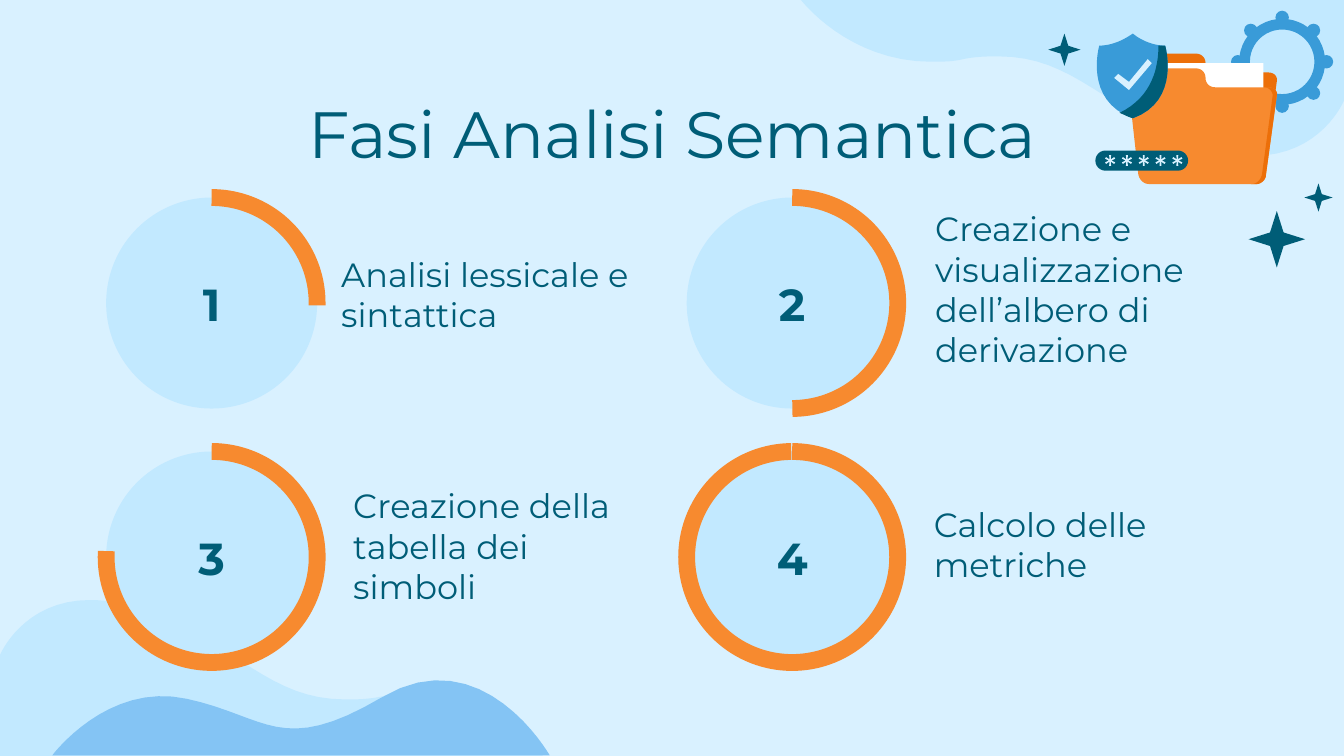
from dataclasses import dataclass
from math import cos, pi, sin

from pptx import Presentation
from pptx.dml.color import RGBColor
from pptx.enum.shapes import MSO_SHAPE
from pptx.enum.text import MSO_ANCHOR, MSO_AUTO_SIZE, PP_ALIGN
from pptx.util import Cm, Length, Pt

OVAL, ARC, RING = MSO_SHAPE.OVAL, MSO_SHAPE.ARC, MSO_SHAPE.DONUT
STAR, PILL, BOX = (MSO_SHAPE.STAR_4_POINT, MSO_SHAPE.ROUNDED_RECTANGLE,
                   MSO_SHAPE.RECTANGLE)
TOP, LOW = MSO_ANCHOR.TOP, MSO_ANCHOR.BOTTOM
LEFT, MID = PP_ALIGN.LEFT, PP_ALIGN.CENTER
FIXED = MSO_AUTO_SIZE.NONE

FONT = "Montserrat"
PALE, SKY, WAVE, BLUE = "D9F1FF", "C2E9FF", "84C4F4", "399BD8"
DARK, ORANGE, RUST, WHITE = "005D77", "F78A2F", "EC6F09", "FFFFFF"
WIDE, HIGH = 10, 5.625
DISC = 1.57  # diameter of a step disc
TURN = 2 * pi


@dataclass
class Step:
    """One numbered phase: disc corner, arc start in degrees, label box."""
    num: int
    left: float
    top: float
    start: float
    label: str
    at: tuple[float, float, float]


@dataclass
class Spark:
    """A four-pointed star by its centre and size."""
    x: float
    y: float
    size: float


LEFTS, TOPS = (0.79, 5.11), (1.47, 3.36)
STEPS = [
    Step(1, LEFTS[0], TOPS[0], 178.75, "Analisi lessicale e sintattica",
         (2.44, 1.98, 2.58)),
    Step(2, LEFTS[1], TOPS[0], 90.1,
         "Creazione e visualizzazione dell’albero di derivazione",
         (6.86, 2.24, 2.36)),
    Step(3, LEFTS[0], TOPS[1], 356.8, "Creazione della tabella dei simboli",
         (2.53, 4, 2.36)),
    Step(4, LEFTS[1], TOPS[1], 270.5, "Calcolo delle metriche",
         (6.85, 3.84, 2.36)),
]
SPARKS = [Spark(7.92, 0.37, 0.24), Spark(9.5, 1.78, 0.42),
          Spark(9.81, 1.47, 0.21)]

# Outlines: two numbers make a line, six numbers make a Bezier curve.
SWELL = [(10, 0), (10, 0.75), (10, 0.75, 9.83, 1.16, 9.33, 1.16),
         (9.22, 1.16, 9.08, 1.14, 8.93, 1.08),
         (8.21, 0.82, 8, 0.42, 7.43, 0.42),
         (7.35, 0.42, 7.27, 0.42, 7.17, 0.44),
         (7.09, 0.46, 7.01, 0.46, 6.93, 0.46), (6.31, 0.46, 5.96, 0, 5.96, 0)]
TIDE = [(0.39, 5.62), (0.39, 5.62, 0.8, 5.07, 1.39, 5.2),
        (1.99, 5.33, 2.09, 5.63, 2.84, 5.19),
        (3.59, 4.74, 4.09, 5.62, 4.09, 5.62)]
FOLDER = [(8.45, 0.4), (8.41, 0.4, 8.39, 0.44, 8.39, 0.47), (8.47, 1.19),
          (8.48, 1.23, 8.51, 1.26, 8.55, 1.26), (9.35, 1.26),
          (9.38, 1.26, 9.42, 1.23, 9.42, 1.19), (9.5, 0.61),
          (9.51, 0.57, 9.48, 0.54, 9.44, 0.54), (9.04, 0.54),
          (9, 0.54, 8.97, 0.51, 8.97, 0.47),
          (8.97, 0.43, 8.94, 0.4, 8.9, 0.4)]
EDGE = [(9.41, 0.65), (9.44, 0.65, 9.47, 0.68, 9.47, 0.71), (9.39, 1.3),
        (9.38, 1.34, 9.35, 1.37, 9.31, 1.37), (9.35, 1.37),
        (9.38, 1.37, 9.42, 1.34, 9.42, 1.3), (9.5, 0.71),
        (9.51, 0.68, 9.48, 0.65, 9.44, 0.65)]
SHIELD = [(8.43, 0.25), (8.4, 0.27, 8.3, 0.34, 8.18, 0.34),
          (8.18, 0.34, 8.06, 0.75, 8.43, 0.88),
          (8.79, 0.75, 8.67, 0.34, 8.67, 0.34),
          (8.55, 0.34, 8.45, 0.27, 8.43, 0.25)]
SHADE = [(8.62, 0.34), (8.62, 0.49, 8.58, 0.72, 8.33, 0.84),
         (8.36, 0.85, 8.39, 0.87, 8.43, 0.88),
         (8.79, 0.75, 8.67, 0.34, 8.67, 0.34)]
TICK = [(8.54, 0.44), (8.4, 0.61), (8.32, 0.55), (8.29, 0.58), (8.4, 0.67),
        (8.57, 0.47)]


def unit(inch: float) -> Length:
    """Turn inches into a length."""
    return Cm(inch * 2.54)


def tint(color, code: str) -> None:
    """Set a colour format from a hex string."""
    color.rgb = RGBColor.from_string(code)


def paint(shape, code: str):
    """Give a shape a flat fill without line or shadow."""
    shape.shadow.inherit = False
    shape.fill.solid()
    tint(shape.fill.fore_color, code)
    shape.line.fill.background()
    return shape


def form(kind, x: float, y: float, w: float, h: float, code: str):
    """Add a filled preset shape."""
    return paint(shapes.add_shape(kind, *map(unit, (x, y, w, h))), code)


def trace(path: list[tuple], code: str, down: float = 0) -> None:
    """Draw a closed outline, with its curves cut into short lines."""
    dots = [path[0]]
    for part in path[1:]:
        if len(part) == 2:
            dots.append(part)
            continue
        pts = [dots[-1], part[:2], part[2:4], part[4:]]
        for t in (i / 16 for i in range(1, 17)):
            mix = ((1 - t) ** 3, 3 * t * (1 - t) ** 2, 3 * t * t * (1 - t),
                   t ** 3)
            dots.append(tuple(sum(m * p[k] for m, p in zip(mix, pts))
                              for k in (0, 1)))
    spots = [(unit(x), unit(y + down)) for x, y in dots]
    pen = shapes.build_freeform(*spots[0])
    pen.add_line_segments(spots[1:], close=True)
    paint(pen.convert_to_shape(), code)


def write(shape, text: str, size: float, align=MID, anchor=TOP,
          bold: bool = False) -> None:
    """Put one formatted paragraph into a shape."""
    frame = shape.text_frame
    frame.word_wrap, frame.auto_size = True, FIXED
    frame.vertical_anchor = anchor
    frame.margin_left = frame.margin_right = unit(0.1)
    frame.margin_top = frame.margin_bottom = unit(0.1)
    frame.text = text
    para = frame.paragraphs[0]
    para.alignment = align
    font = para.font
    font.name, font.size, font.bold = FONT, Pt(size), bold
    tint(font.color, DARK)


def draw_step(step: Step) -> None:
    """Draw the disc, progress arc, number and label of a step."""
    form(OVAL, step.left, step.top, DISC, DISC, SKY)
    arc = form(ARC, step.left, step.top, DISC, DISC, SKY)
    arc.fill.background()
    arc.line.width = Pt(9)
    arc.line.fill.solid()
    tint(arc.line.color, ORANGE)
    arc.adjustments[0], arc.adjustments[1] = step.start * 0.6, 270 * 0.6
    arc.element.spPr.xfrm.set("flipH", "1")
    spot = (step.left, step.top + 0.49, DISC, 0.61)
    write(shapes.add_textbox(*map(unit, spot)), str(step.num), 24, bold=True)
    write(shapes.add_textbox(*map(unit, (*step.at, 0.61))), step.label, 18,
          LEFT, LOW)


def draw_gear(x: float, y: float) -> None:
    """Draw a ring with eight round teeth."""
    form(RING, x - 0.32, y - 0.32, 0.64, 0.64, BLUE).adjustments[0] = 0.125
    for i in range(8):
        turn = i * TURN / 8
        form(OVAL, x + 0.33 * cos(turn) - 0.05, y + 0.33 * sin(turn) - 0.05,
             0.1, 0.1, BLUE)


def draw_mark(x: float, y: float) -> None:
    """Draw a six-armed asterisk."""
    dots = []
    for i in range(6):
        turn = i * TURN / 6 - TURN / 4
        for far, off in ((0.04, -0.18), (0.04, 0.18), (0.01, TURN / 12)):
            dots.append((x + far * cos(turn + off), y + far * sin(turn + off)))
    trace(dots, PALE)


deck = Presentation()
deck.slide_width, deck.slide_height = unit(WIDE), unit(HIGH)
slide = deck.slides.add_slide(deck.slide_layouts[5])
shapes = slide.shapes
slide.background.fill.solid()
tint(slide.background.fill.fore_color, PALE)

title = shapes.title
title.left, title.top, title.width, title.height = map(
    unit, (0.79, 0.59, 8.43, 0.74))
write(title, "Fasi Analisi Semantica", 35)

trace(SWELL, SKY)
trace([tuple((HIGH if i % 2 else WIDE) - v for i, v in enumerate(part))
       for part in SWELL], SKY)
trace(TIDE, WAVE)

for step in STEPS:
    draw_step(step)

draw_gear(9.54, 0.46)
trace(FOLDER, RUST)
form(BOX, 8.5, 0.47, 0.9, 0.86, WHITE)
trace(FOLDER, ORANGE, 0.11)
trace(EDGE, RUST)
for path, code in ((SHIELD, BLUE), (TICK, PALE), (SHADE, DARK)):
    trace(path, code)
form(PILL, 8.15, 1.12, 0.69, 0.15, DARK).adjustments[0] = 0.5
for i in range(5):
    draw_mark(8.26 + i * 0.125, 1.195)
for spark in SPARKS:
    half = spark.size / 2
    form(STAR, spark.x - half, spark.y - half, spark.size, spark.size,
         DARK).adjustments[0] = 0.17

deck.save("out.pptx")
